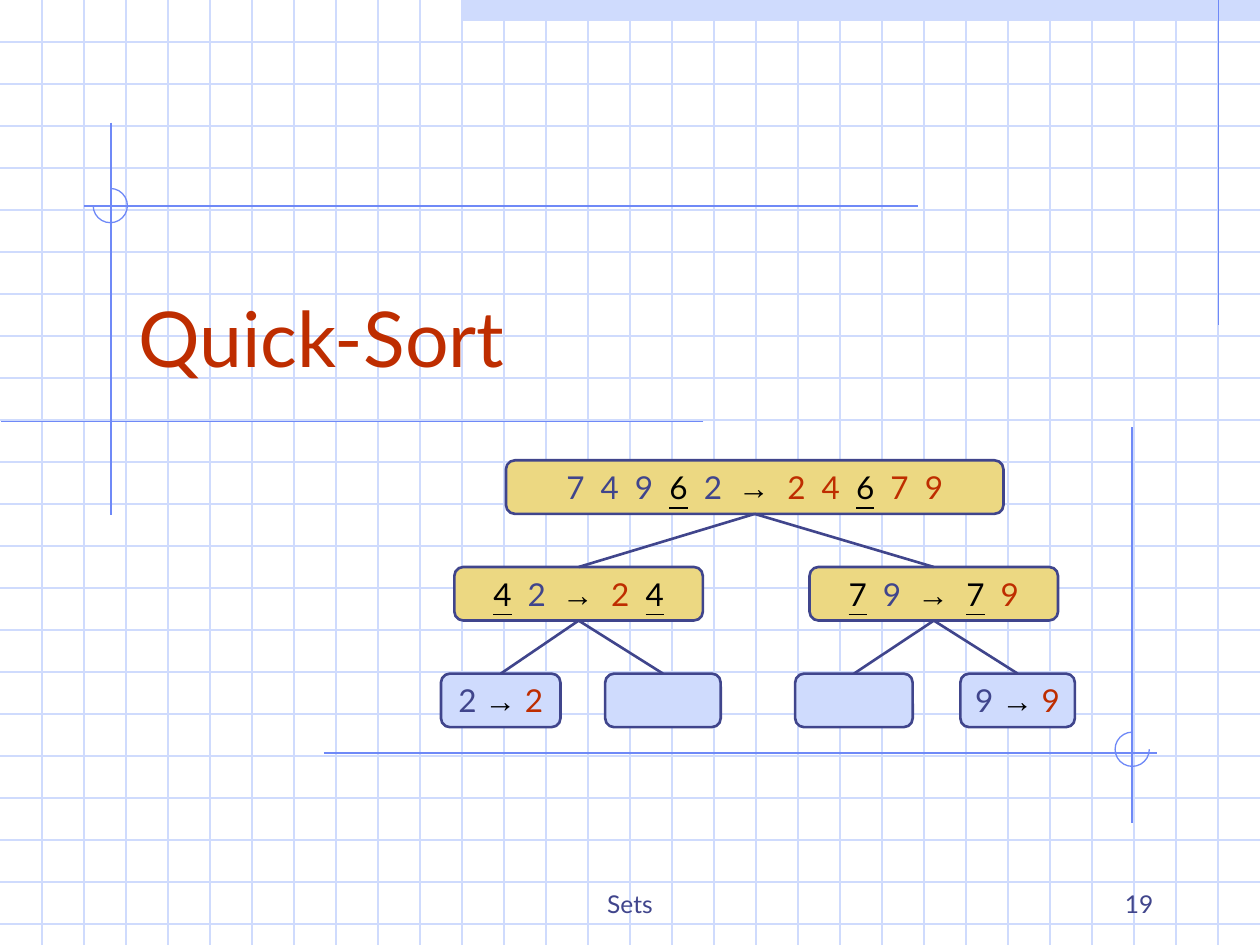
import pptx
import pptx.dml.color
import pptx.enum.shapes
import pptx.enum.text
import pptx.oxml
import pptx.util

Cm = pptx.util.Cm
Pt = pptx.util.Pt
SHAPE = pptx.enum.shapes.MSO_SHAPE
ALIGN = pptx.enum.text.PP_ALIGN
ANCHOR = pptx.enum.text.MSO_ANCHOR

COLORS = {
    "grid": "CFDBFD", "accent": "6F89F7", "title": "BE2D00", "ink": "40458C",
    "node": "ECD882", "leaf": "CFDBFD", "black": "000000",
}
RGB = {name: pptx.dml.color.RGBColor.from_string(h) for name, h in COLORS.items()}
# Run styles: font, colour, bold, underline
STYLES = {
    "input": ("Lato", "ink", False, False),
    "output": ("Lato", "title", False, False),
    "pivot": ("Lato", "black", False, True),
    "arrow": ("Arial", "black", True, False),
}
WIDTH, HEIGHT = 25.4, 19.05
STEP = WIDTH / 30

prs = pptx.Presentation()
prs.slide_width, prs.slide_height = Cm(WIDTH), Cm(HEIGHT)
s = prs.slides.add_slide(prs.slide_layouts[6])


def add_line(x1, y1, x2, y2, color, width=0.75):
    line = s.shapes.add_connector(
        pptx.enum.shapes.MSO_CONNECTOR.STRAIGHT, Cm(x1), Cm(y1), Cm(x2), Cm(y2))
    line.line.color.rgb = RGB[color]
    line.line.width = Pt(width)
    line._element.spPr.append(pptx.oxml.parse_xml(
        '<a:effectLst xmlns:a="http://schemas.openxmlformats.org/drawingml/2006/main"/>'))
    return line


def write(sp, runs, size, align, anchor, wrap):
    """Fill a shape with one paragraph of (text, style) runs."""
    tf = sp.text_frame
    tf.word_wrap = wrap
    tf.vertical_anchor = anchor
    p = tf.paragraphs[0]
    p.alignment = align
    for text, style in runs:
        r = p.add_run()
        r.text = text
        r.font.size = Pt(size)
        r.font.name, color, r.font.bold, r.font.underline = STYLES[style]
        r.font.color.rgb = RGB[color]


# Background: top band and square grid
band = s.shapes.add_shape(SHAPE.RECTANGLE, Cm(11 * STEP), 0, Cm(19 * STEP), Cm(STEP / 2))
band.shadow.inherit = False
band.fill.solid()
band.fill.fore_color.rgb = RGB["grid"]
band.line.fill.background()
for i in range(1, 23):
    add_line(0, i * STEP, WIDTH, i * STEP, "grid")
for i in range(1, 30):
    add_line(i * STEP, 0, i * STEP, HEIGHT, "grid")

# Accent lines and three-quarter circles
for ends in [
    (24.56, 0, 24.56, 6.55),
    (2.24, 2.47, 2.24, 10.39),
    (14.18, 8.49, 0.03, 8.49),
    (18.5, 4.15, 1.7, 4.15),
    (6.53, 15.18, 23.32, 15.18),
    (22.82, 8.61, 22.82, 16.59),
]:
    add_line(*ends, "accent")
# Arc angles are in units of 5/3 degree: 108 left, 162 top, 0 right
for x, y, start, end in [(1.88, 3.8, 162, 108), (22.48, 14.76, 0, 162)]:
    arc = s.shapes.add_shape(SHAPE.ARC, Cm(x), Cm(y), Cm(0.69), Cm(0.69))
    arc.adjustments[0], arc.adjustments[1] = start, end
    arc.shadow.inherit = False
    arc.fill.background()
    arc.line.color.rgb = RGB["accent"]
    arc.line.width = Pt(0.75)

# Title and footer
for x, y, w, h, text, style, size, align in [
    (2.54, 4.66, 21.59, 3.18, "Quick-Sort", "output", 44, ALIGN.LEFT),
    (8.68, 17.36, 8.04, 1.27, "Sets", "input", 14, ALIGN.CENTER),
    (18.21, 17.36, 5.29, 1.27, "19", "input", 14, ALIGN.RIGHT),
]:
    box = s.shapes.add_textbox(Cm(x), Cm(y), Cm(w), Cm(h))
    write(box, [(text, style)], size, align, ANCHOR.BOTTOM, True)

# Quick-sort tree: key, parent, level, left, width, runs
TREE = [
    ("root", None, 0, 10.2, 10.03, [
        ("7  4  9  ", "input"), ("6", "pivot"), ("  2  ", "input"), ("→  ", "arrow"),
        ("2  4  ", "output"), ("6", "pivot"), ("  7  9", "output")]),
    ("low", "root", 1, 9.16, 5.01, [
        ("4", "pivot"), ("  2  ", "input"), ("→  ", "arrow"),
        ("2  ", "output"), ("4", "pivot")]),
    ("high", "root", 1, 16.32, 5.01, [
        ("7", "pivot"), ("  9  ", "input"), ("→  ", "arrow"),
        ("7", "pivot"), ("  9", "output")]),
    ("leaf 2", "low", 2, 8.89, 2.41, [("2 ", "input"), ("→ ", "arrow"), ("2", "output")]),
    ("empty low", "low", 2, 12.2, 2.33, []),
    ("empty high", "high", 2, 16.03, 2.37, []),
    ("leaf 9", "high", 2, 19.36, 2.31, [("9 ", "input"), ("→ ", "arrow"), ("9", "output")]),
]
nodes = {}
for key, parent, level, x, w, runs in TREE:
    sp = s.shapes.add_shape(
        SHAPE.ROUNDED_RECTANGLE, Cm(x), Cm(9.28 + 2.15 * level), Cm(w), Cm(1.08))
    sp.shadow.inherit = False
    sp.fill.solid()
    sp.fill.fore_color.rgb = RGB["leaf" if level == 2 else "node"]
    sp.line.color.rgb = RGB["ink"]
    sp.line.width = Pt(1.5)
    if runs:
        write(sp, runs, 18, ALIGN.CENTER, ANCHOR.MIDDLE, False)
    nodes[key] = sp
for key, parent, *_ in TREE:
    if parent:
        top, bottom = nodes[parent], nodes[key]
        edge = add_line(0, 0, 1, 1, "ink", 1.5)
        edge.begin_connect(top, 2)
        edge.end_connect(bottom, 0)

prs.save("out.pptx")
